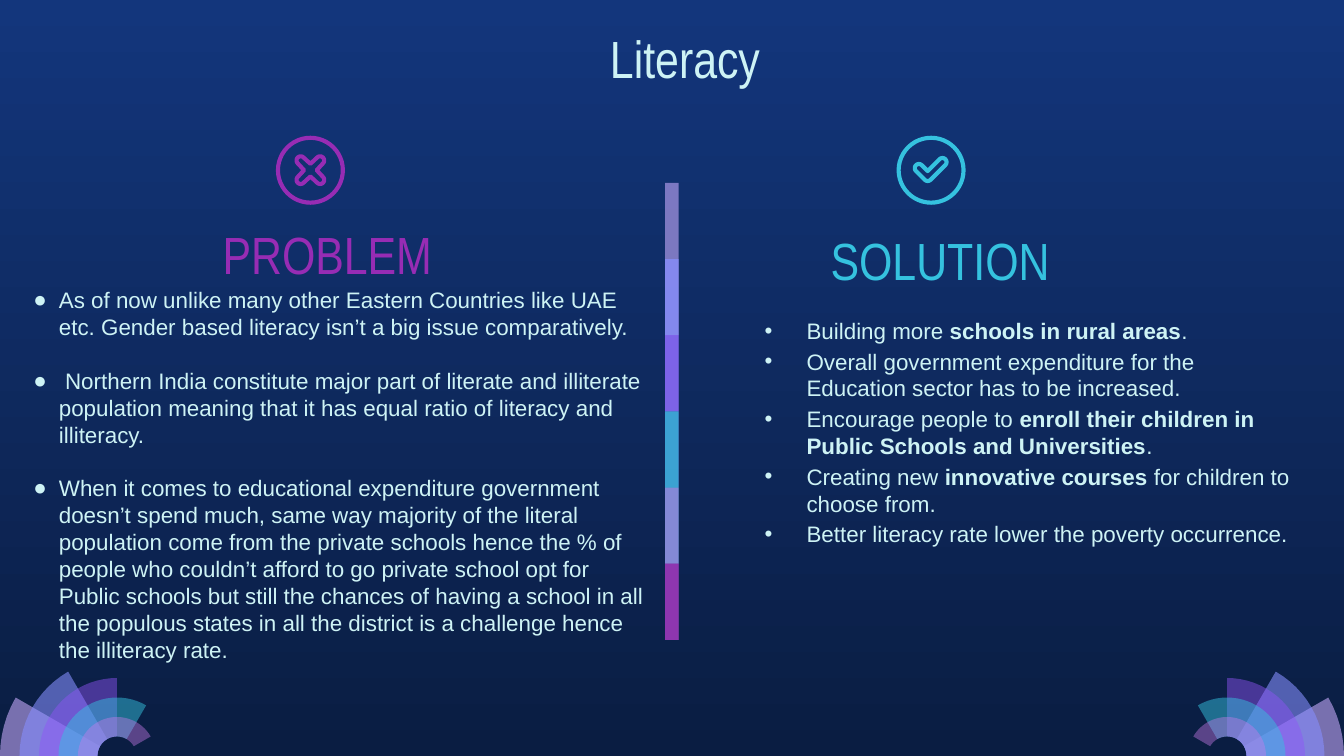
"""Build the Literacy slide comparing a problem with its solution."""
import math
from dataclasses import dataclass

import pptx
import pptx.dml.color
import pptx.enum.shapes
import pptx.enum.text
import pptx.oxml
import pptx.oxml.ns
import pptx.util
from lxml import etree

Pt = pptx.util.Pt
Point = tuple[float, float]

COLORS = {
    "sky": "13367C", "night": "0A1D42", "text": "CEF3F5",
    "lilac": "C8ACFD", "periwinkle": "878FFF", "violet": "9154F8",
    "cyan": "35C2DF", "orchid": "CA7BEB", "purple": "972CB4",
}
WIDTH, HEIGHT = 720, 405
INSET = 7.2
STROKE = 2.2
FAN_STEP = 10.44
BAR_TOP, BAR_STEP = 98, 40.8


@dataclass
class Tint:
    color: str
    opacity: int


@dataclass
class Box:
    left: float
    top: float
    width: float
    height: float


@dataclass
class BulletList:
    box: Box
    bullet: str
    margin: float
    hanging: float
    gap: float
    items: list[str]


FAN = [Tint("lilac", 58), Tint("periwinkle", 58), Tint("violet", 46),
       Tint("cyan", 49), Tint("orchid", 42)]
BARS = [Tint("lilac", 59), Tint("periwinkle", 74), Tint("violet", 53),
        Tint("cyan", 76), Tint("orchid", 56), Tint("purple", 74)]

PROBLEM = BulletList(Box(10.8, 146.2, 347.8, 204.5), "●", 13.7, 13.7, 14.4, [
    "As of now unlike many other Eastern Countries like UAE etc. Gender based "
    "literacy isn’t a big issue comparatively.",
    " Northern India constitute major part of literate and illiterate population "
    "meaning that it has equal ratio of literacy and illiteracy.",
    "When it comes to educational expenditure government doesn’t spend much, same "
    "way majority of the literal population come from the private schools hence the "
    "% of people who couldn’t afford to go private school opt for Public schools but "
    "still the chances of having a school in all the populous states in all the "
    "district is a challenge hence the illiteracy rate.",
])
SOLUTION = BulletList(Box(366.5, 162.7, 334.8, 151.2), "•", 58.5, 22.5, 2, [
    "Building more |schools in rural areas|.",
    "Overall government expenditure for the Education sector has to be increased.",
    "Encourage people to |enroll their children in Public Schools and Universities|.",
    "Creating new |innovative courses |for children to choose from.",
    "Better literacy rate lower the poverty occurrence.",
])


def rgb(name: str) -> pptx.dml.color.RGBColor:
    """Return the named colour."""
    return pptx.dml.color.RGBColor.from_string(COLORS[name])


def place(shape, box: Box) -> None:
    """Move and size a shape."""
    shape.left, shape.top = Pt(box.left), Pt(box.top)
    shape.width, shape.height = Pt(box.width), Pt(box.height)


def fill(shape, tint: Tint) -> None:
    """Fill a shape with a translucent colour and no outline."""
    shape.shadow.inherit = False
    shape.line.fill.background()
    shape.fill.solid()
    shape.fill.fore_color.rgb = rgb(tint.color)
    if tint.opacity < 100:
        color = shape.fill._xPr.find(".//" + pptx.oxml.ns.qn("a:srgbClr"))
        alpha = etree.SubElement(color, pptx.oxml.ns.qn("a:alpha"))
        alpha.set("val", str(tint.opacity * 1000))


def arc(x: float, y: float, radius: float, start: int, end: int) -> list[Point]:
    """Return points along a clockwise arc in degrees."""
    steps = max(2, abs(end - start) // 5)
    angles = [math.radians(start + (end - start) * i / steps) for i in range(steps + 1)]
    return [(x + radius * math.cos(a), y + radius * math.sin(a)) for a in angles]


def add_outline(slide, points: list[Point]):
    """Add a closed freeform through the points."""
    vertices = [(Pt(x), Pt(y)) for x, y in points]
    builder = slide.shapes.build_freeform(*vertices[0])
    builder.add_line_segments(vertices[1:], close=True)
    return builder.convert_to_shape()


def add_fan(slide, mirrored: bool) -> None:
    """Draw a corner fan whose rings shrink as their sweep widens."""
    center = FAN_STEP * 6
    for index, tint in enumerate(FAN):
        end = 210 + 30 * index
        points = (arc(center, HEIGHT, FAN_STEP * (6 - index), 180, end)
                  + arc(center, HEIGHT, FAN_STEP, end, 180))
        if mirrored:
            points = [(WIDTH - x, y) for x, y in points]
        fill(add_outline(slide, points), tint)


def add_divider(slide) -> None:
    """Draw the central strip of overlapping bars."""
    for index, tint in enumerate(BARS):
        height = BAR_STEP * (1 if index == len(BARS) - 1 else 2)
        bar = slide.shapes.add_shape(
            pptx.enum.shapes.MSO_SHAPE.RECTANGLE,
            Pt(356.4), Pt(BAR_TOP + BAR_STEP * index), Pt(7.2), Pt(height))
        fill(bar, tint)


def cross_points() -> list[Point]:
    """Return the outline of a rounded cross around the origin."""
    points = []
    for angle in (-45, 45, 135, 225):
        tip = math.copysign(5.2, math.cos(math.radians(angle)))
        rise = math.copysign(5.2, math.sin(math.radians(angle)))
        points += arc(tip, rise, STROKE, angle - 90, angle + 90)
        corner = math.radians(angle + 45)
        points.append((3.4 * math.cos(corner), 3.4 * math.sin(corner)))
    return points


def check_points() -> list[Point]:
    """Return the outline of a rounded check mark around the origin."""
    return (arc(6.1, -4.3, STROKE, -135, 45) + arc(-1.8, 3.6, STROKE, 45, 135)
            + arc(-6.5, -1.1, STROKE, 135, 315) + [(-1.8, 3.6 - STROKE * math.sqrt(2))])


def add_icon(slide, x: float, mark: list[Point], color: str) -> None:
    """Draw a ring with an outlined mark inside."""
    y, size = 91.2, 37
    ring = slide.shapes.add_shape(pptx.enum.shapes.MSO_SHAPE.DONUT,
                                  Pt(x - size / 2), Pt(y - size / 2), Pt(size), Pt(size))
    ring.adjustments[0] = 0.06
    fill(ring, Tint(color, 100))
    symbol = add_outline(slide, [(x + dx, y + dy) for dx, dy in mark])
    symbol.shadow.inherit = False
    symbol.fill.background()
    symbol.line.color.rgb = rgb(color)
    symbol.line.width = Pt(STROKE)


def prepare_frame(shape, box: Box):
    """Place a text shape and return its frame with common settings."""
    place(shape, box)
    frame = shape.text_frame
    frame.word_wrap = True
    frame.auto_size = pptx.enum.text.MSO_AUTO_SIZE.NONE
    frame.vertical_anchor = pptx.enum.text.MSO_ANCHOR.TOP
    frame.margin_left = frame.margin_right = Pt(INSET)
    frame.margin_top = frame.margin_bottom = Pt(INSET)
    return frame


def style_run(run, font: str, size: float, color: str) -> None:
    """Set the font of a run."""
    run.font.name, run.font.size = font, Pt(size)
    run.font.color.rgb = rgb(color)


def set_heading(shape, box: Box, text: str, color: str) -> None:
    """Write a centred heading."""
    frame = prepare_frame(shape, box)
    frame.text = text
    paragraph = frame.paragraphs[0]
    paragraph.alignment = pptx.enum.text.PP_ALIGN.CENTER
    paragraph.line_spacing = Pt(34)
    style_run(paragraph.runs[0], "Arial Narrow", 28, color)


def add_bullets(slide, content: BulletList) -> None:
    """Write a bullet list, with bold parts between bars."""
    frame = prepare_frame(slide.shapes.add_textbox(0, 0, 0, 0), content.box)
    for index, item in enumerate(content.items):
        paragraph = frame.add_paragraph() if index else frame.paragraphs[0]
        paragraph.line_spacing = Pt(14.4)
        paragraph.space_before = Pt(content.gap if index else 0)
        properties = paragraph._p.get_or_add_pPr()
        properties.set("marL", str(Pt(content.margin)))
        properties.set("indent", str(-Pt(content.hanging)))
        namespace = pptx.oxml.ns.nsdecls("a")
        for xml in (f'<a:buClr {namespace}><a:srgbClr val="{COLORS["text"]}"/></a:buClr>',
                    f'<a:buFont {namespace} typeface="Arial"/>',
                    f'<a:buChar {namespace} char="{content.bullet}"/>'):
            properties.append(pptx.oxml.parse_xml(xml))
        for part, text in enumerate(item.split("|")):
            run = paragraph.add_run()
            run.text = text
            style_run(run, "Arial", 12, "text")
            run.font.bold = part % 2 == 1


def main() -> None:
    """Build and save the presentation."""
    presentation = pptx.Presentation()
    presentation.slide_width, presentation.slide_height = Pt(WIDTH), Pt(HEIGHT)
    slide = presentation.slides.add_slide(presentation.slide_layouts[5])
    background = slide.background.fill
    background.gradient()
    background.gradient_angle = 270
    for stop, color in zip(background.gradient_stops, ("sky", "night")):
        stop.color.rgb = rgb(color)
    add_fan(slide, False)
    add_fan(slide, True)
    add_divider(slide)
    set_heading(slide.shapes.title, Box(63.4, 6.5, 607, 45.4), "Literacy", "text")
    for box, text, color in ((Box(90.7, 111.6, 169.2, 45.4), "PROBLEM", "purple"),
                             (Box(419, 114.5, 169.2, 45.4), "SOLUTION", "cyan")):
        set_heading(slide.shapes.add_textbox(0, 0, 0, 0), box, text, color)
    add_bullets(slide, PROBLEM)
    add_bullets(slide, SOLUTION)
    add_icon(slide, 166.3, cross_points(), "purple")
    add_icon(slide, 498.8, check_points(), "cyan")
    presentation.save("out.pptx")


if __name__ == "__main__":
    main()
